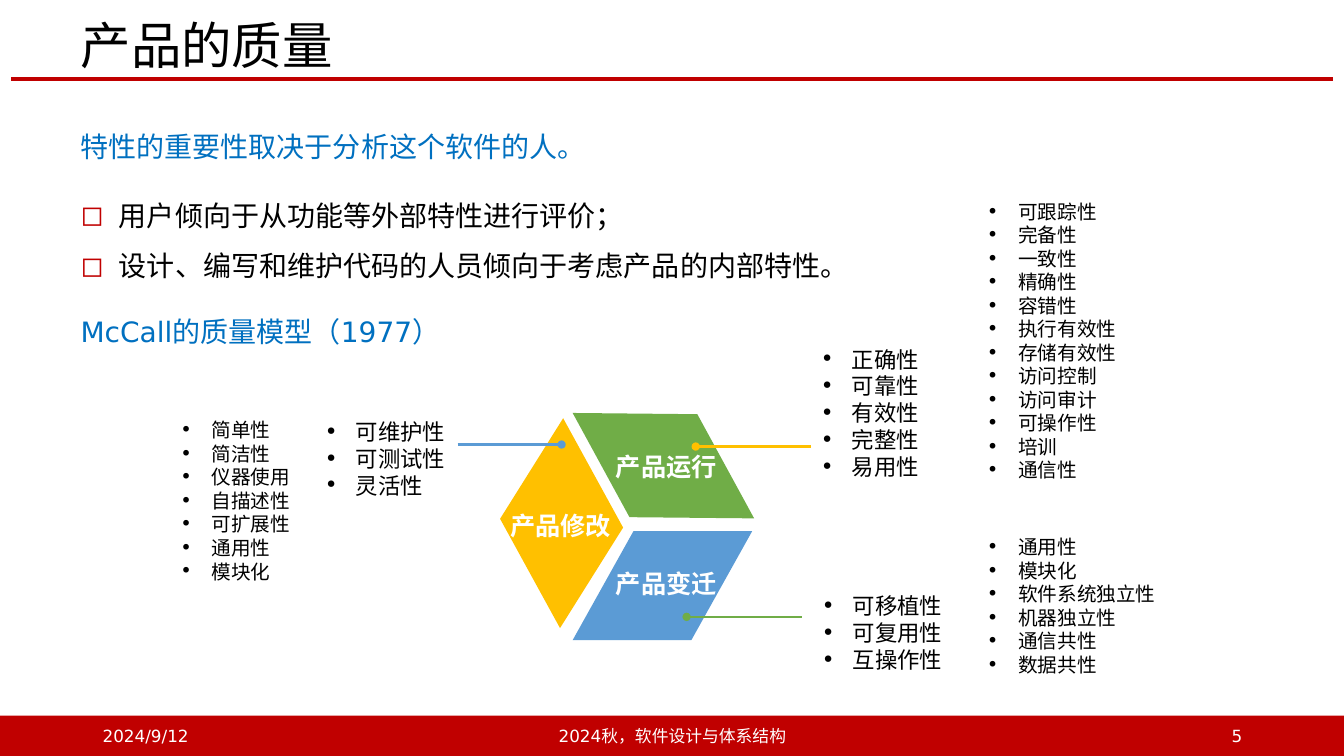
import pptx
import pptx.util
import pptx.dml.color
import pptx.enum.shapes
import pptx.enum.text
import lxml.etree
import pptx.oxml.ns

Inches, Pt = pptx.util.Inches, pptx.util.Pt
RGBColor = pptx.dml.color.RGBColor
Align = pptx.enum.text.PP_ALIGN
Anchor = pptx.enum.text.MSO_ANCHOR
Kind = pptx.enum.shapes.MSO_SHAPE
qn = pptx.oxml.ns.qn

RED = RGBColor(0xC0, 0x00, 0x00)
HEADING_BLUE = RGBColor(0x00, 0x70, 0xC0)
BLUE = RGBColor(0x5B, 0x9B, 0xD5)
GREEN = RGBColor(0x70, 0xAD, 0x47)
YELLOW = RGBColor(0xFF, 0xC0, 0x00)
BLACK = RGBColor(0, 0, 0)
WHITE = RGBColor(255, 255, 255)
BODY_FONT, TITLE_FONT = "DejaVu Sans", "Noto Sans CJK SC"

# Grid
WIDTH, HEIGHT = 13.33, 7.5
MARGIN = 0.7
CONTENT_WIDTH = 11.71
FOOTER_HEIGHT = 0.4
FOOTER_TOP = HEIGHT - FOOTER_HEIGHT
DETAIL_COLUMN = 9.69
TILE_WIDTH, TILE_HEIGHT, TILE_SLANT = 1.78, 1.08, 0.558
LABEL_WIDTH = 1.21

# Content
TITLE = "产品的质量"
VIEWPOINTS = ["用户倾向于从功能等外部特性进行评价；",
              "设计、编写和维护代码的人员倾向于考虑产品的内部特性。"]
HEADINGS = [("特性的重要性取决于分析这个软件的人。", 1.24),
            ("McCall的质量模型（1977）", 3.07)]
FOOTER = [("2024/9/12", 0.92, 3, Align.LEFT),
          ("2024秋，软件设计与体系结构", 4.42, 4.5, Align.CENTER),
          ("5", 9.42, 3, Align.RIGHT)]
# Tile: left, top, rotation, fill
TILES = [(5.68, 5.27, 0, BLUE),
         (5.69, 4.08, 241.4, GREEN),
         (4.68, 4.65, 302.1, YELLOW)]
TILE_LABELS = [("产品修改", 4.96, 5.01),
               ("产品运行", 6.01, 4.43),
               ("产品变迁", 6.01, 5.59)]
# List: items, left, top, width, size
FACTORS = [
    (["正确性", "可靠性", "有效性", "完整性", "易用性"], 8.04, 3.38, 1.19, 16),
    (["可维护性", "可测试性", "灵活性"], 3.12, 4.1, 1.42, 16),
    (["可移植性", "可复用性", "互操作性"], 8.05, 5.83, 1.42, 16),
]
CRITERIA = [
    (["可跟踪性", "完备性", "一致性", "精确性", "容错性", "执行有效性",
      "存储有效性", "访问控制", "访问审计", "可操作性", "培训", "通信性"],
     DETAIL_COLUMN, 1.93, 1.58, 14),
    (["简单性", "简洁性", "仪器使用", "自描述性", "可扩展性", "通用性", "模块化"],
     1.69, 4.1, 1.58, 14),
    (["通用性", "模块化", "软件系统独立性", "机器独立性", "通信共性", "数据共性"],
     DETAIL_COLUMN, 5.26, 1.95, 14),
]
# Leader: start, end, height on the slide, colour
LEADERS = [(8.04, 6.9, 4.43, YELLOW),
           (4.54, 5.57, 4.41, BLUE),
           (7.95, 6.81, 6.12, GREEN)]


def place(part, left, top, width, height):
    part.left, part.top = Inches(left), Inches(top)
    part.width, part.height = Inches(width), Inches(height)


def add_bullet(paragraph, mark, color, indent):
    props = paragraph._p.get_or_add_pPr()
    props.set("marL", str(Inches(indent)))
    props.set("indent", str(-Inches(indent)))
    tint = lxml.etree.SubElement(props, qn("a:buClr"))
    lxml.etree.SubElement(tint, qn("a:srgbClr")).set("val", str(color))
    lxml.etree.SubElement(props, qn("a:buFont")).set("typeface", BODY_FONT)
    lxml.etree.SubElement(props, qn("a:buChar")).set("char", mark)


def write(part, lines, size, color, bullet=None, font=BODY_FONT, bold=False,
          wrap=True, anchor=Anchor.TOP, **layout):
    frame = part.text_frame
    frame.word_wrap, frame.vertical_anchor = wrap, anchor
    frame.auto_size = pptx.enum.text.MSO_AUTO_SIZE.NONE
    layout = {"alignment": Align.LEFT, "space_before": Pt(0), **layout}
    for number, line in enumerate(lines):
        paragraph = frame.add_paragraph() if number else frame.paragraphs[0]
        if bullet:
            add_bullet(paragraph, *bullet)
        for key, value in layout.items():
            setattr(paragraph, key, value)
        run = paragraph.add_run()
        run.text = line
        for key, value in {"size": Pt(size), "bold": bold, "name": font}.items():
            setattr(run.font, key, value)
        run.font.color.rgb = color
        east_asian = lxml.etree.SubElement(run._r.get_or_add_rPr(), qn("a:ea"))
        east_asian.set("typeface", font)


def add_text(slide, lines, left, top, width, size, color, height=None, **style):
    # Box height follows from line count: 1.21 line pitch plus insets
    height = height or 0.1 + len(lines) * size * 1.213 / 72
    box = slide.shapes.add_textbox(*map(Inches, (left, top, width, height)))
    write(box, lines, size, color, **style)


def add_block(slide, kind, left, top, width, height, fill):
    block = slide.shapes.add_shape(kind, *map(Inches, (left, top, width, height)))
    block.shadow.inherit = False
    block.fill.solid()
    block.fill.fore_color.rgb = fill
    block.line.fill.background()
    return block


def add_rule(slide, start, end, level, color, weight):
    rule = slide.shapes.add_connector(
        pptx.enum.shapes.MSO_CONNECTOR.STRAIGHT,
        *map(Inches, (start, level, end, level)))
    rule.line.color.rgb = color
    rule.line.width = Pt(weight)
    lxml.etree.SubElement(rule._element.spPr, qn("a:effectLst"))
    return rule


def main():
    deck = pptx.Presentation()
    deck.slide_width, deck.slide_height = Inches(WIDTH), Inches(HEIGHT)
    slide = deck.slides.add_slide(deck.slide_layouts[1])

    # Title rule and footer band
    add_rule(slide, 0.11, 13.22, 0.78, RED, 3)
    add_block(slide, Kind.RECTANGLE, 0, FOOTER_TOP, WIDTH, FOOTER_HEIGHT, RED)
    for text, left, width, alignment in FOOTER:
        add_text(slide, [text], left, FOOTER_TOP, width, 12, WHITE,
                 height=FOOTER_HEIGHT, anchor=Anchor.MIDDLE, alignment=alignment)

    # Title, headings and viewpoints
    title, viewpoints = slide.shapes.title, slide.placeholders[1]
    place(title, MARGIN, 0.18, CONTENT_WIDTH, 0.6)
    write(title, [TITLE], 36, BLACK, font=TITLE_FONT, anchor=Anchor.MIDDLE,
          line_spacing=0.9)
    place(viewpoints, MARGIN, 1.75, CONTENT_WIDTH, 1.04)
    write(viewpoints, VIEWPOINTS, 20, BLACK, bullet=("◻", RED, 0.38),
          line_spacing=1.5)
    for text, top in HEADINGS:
        add_text(slide, [text], MARGIN, top, CONTENT_WIDTH, 20, HEADING_BLUE)

    # Quality model tiles
    for left, top, rotation, fill in TILES:
        tile = add_block(slide, Kind.PARALLELOGRAM, left, top,
                         TILE_WIDTH, TILE_HEIGHT, fill)
        tile.adjustments[0] = TILE_SLANT
        tile.rotation = rotation
    for text, left, top in TILE_LABELS:
        add_text(slide, [text], left, top, LABEL_WIDTH, 18, WHITE,
                 bold=True, wrap=False)

    # Factors, their criteria and the leaders
    for group, wrap in ((FACTORS, False), (CRITERIA, True)):
        for items, left, top, width, size in group:
            add_text(slide, items, left, top, width, size, BLACK,
                     bullet=("•", BLACK, 0.31), wrap=wrap)
    for start, end, level, color in LEADERS:
        leader = add_rule(slide, start, end, level, color, 1.5)
        outline = leader.line._get_or_add_ln()
        lxml.etree.SubElement(outline, qn("a:tailEnd")).set("type", "oval")

    deck.save("out.pptx")


if __name__ == "__main__":
    main()
